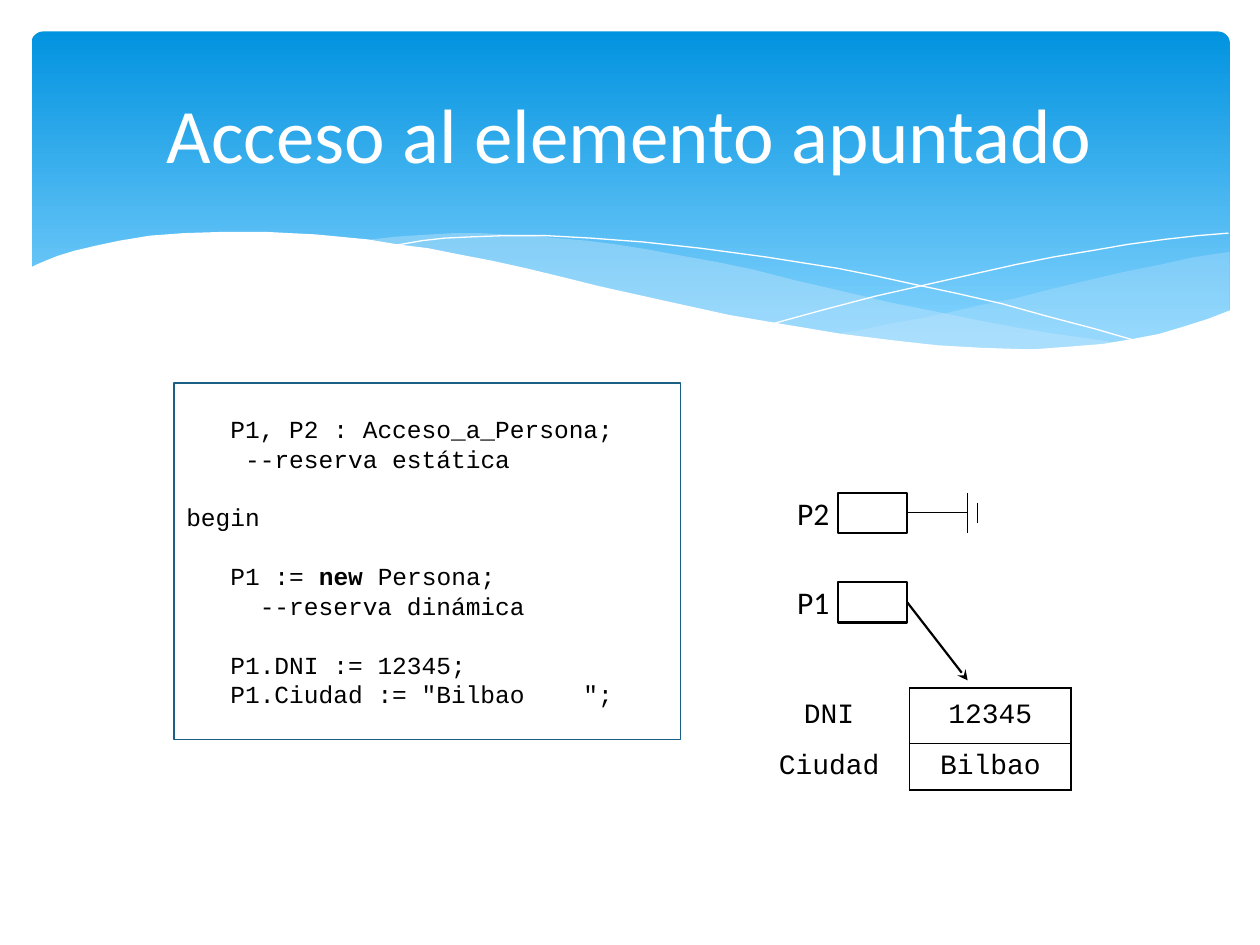
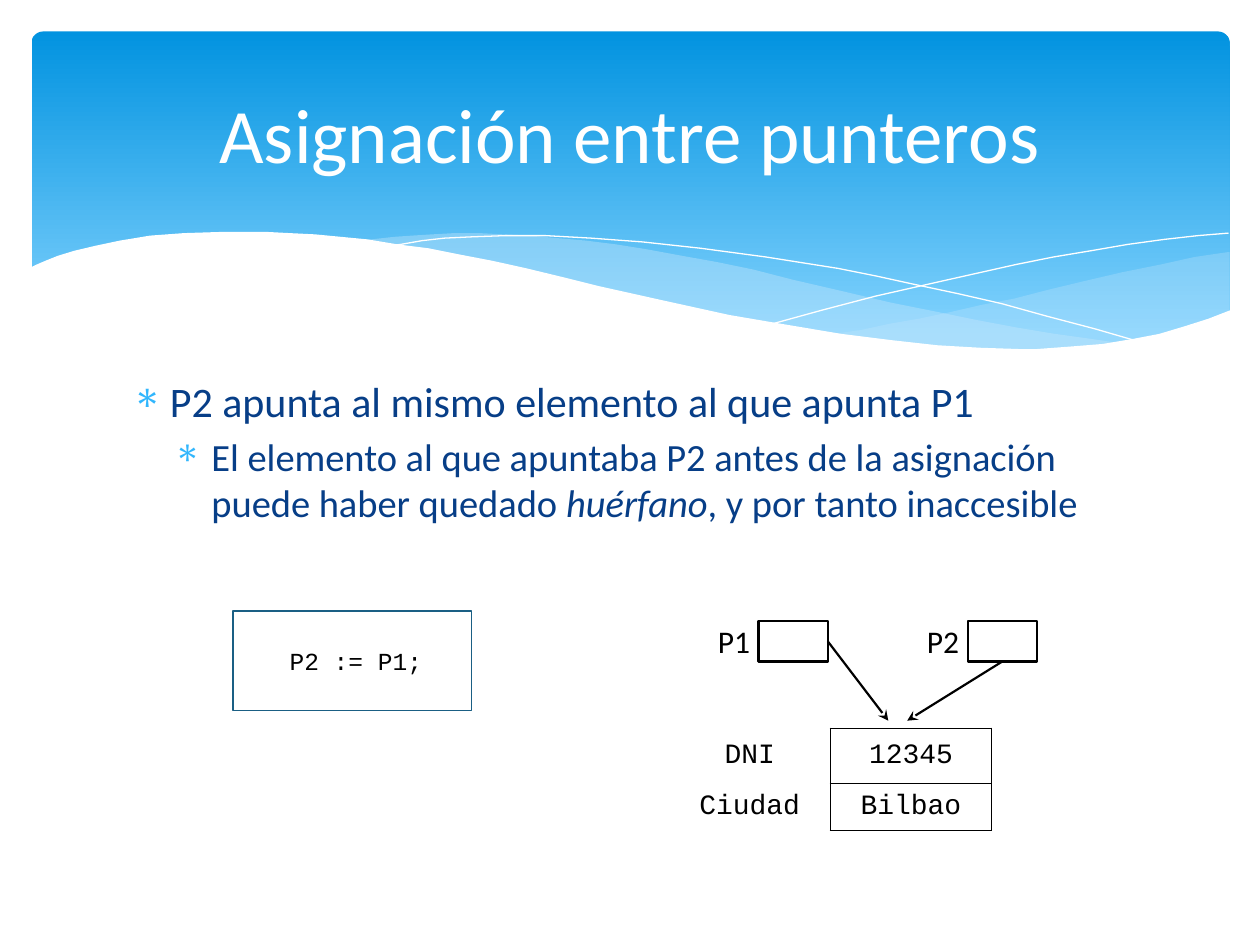
from lxml.etree import SubElement
from pptx import Presentation
from pptx.dml.color import RGBColor
from pptx.enum.shapes import MSO_CONNECTOR as Connector, MSO_SHAPE as Shape
from pptx.enum.text import MSO_ANCHOR as Anchor, PP_ALIGN as Align
from pptx.oxml.ns import qn
from pptx.util import Pt

PX = 9144  # EMU per px, 100 px to the inch

BLACK = RGBColor(0x00, 0x00, 0x00)
WHITE = RGBColor(0xFF, 0xFF, 0xFF)
BAND_TOP = RGBColor(0x02, 0x93, 0xE0)
BAND_BOTTOM = RGBColor(0x83, 0xD3, 0xFE)
WAVE = RGBColor(0xC6, 0xE7, 0xFC)
CODE_BORDER = RGBColor(0x1A, 0x5F, 0x84)
BODY_BLUE = RGBColor(0x07, 0x3E, 0x87)
BULLET_BLUE = RGBColor(0x31, 0xB6, 0xFD)

SANS, MONO = "Calibri", "Courier New"
CODE_SIZE, CODE_LEADING = 14, 16.8
CODE_CHAR = 11.67  # width of one code character in px
BOX_WIDTH, BOX_HEIGHT = 55, 32
LABEL_OFFSET = 47
TOP, LEFT, BOTTOM, RIGHT = range(4)  # connection sites of a rectangle

RIGHT_WAVE = [
    (975, 200), (948, 204), (921, 210), (891, 216), (861, 223), (832, 230),
    (805, 237), (779, 242), (753, 248), (729, 253), (706, 257), (683, 262),
    (661, 265), (691, 269), (719, 272), (745, 275), (769, 277), (792, 277),
    (814, 278), (835, 277), (854, 276), (872, 274), (889, 272), (905, 269),
    (921, 265), (935, 262), (949, 257), (963, 252), (976, 247), (976, 200)]
MIDDLE_WAVE = [
    (893, 273), (866, 269), (837, 265), (807, 260), (775, 254), (741, 247),
    (706, 240), (668, 231), (629, 222), (598, 214), (569, 208), (541, 203),
    (514, 198), (489, 194), (465, 191), (442, 189), (420, 187), (399, 186),
    (380, 185), (361, 185), (344, 186), (328, 187), (313, 188), (286, 191),
    (323, 196), (362, 203), (404, 211), (449, 222), (491, 232), (530, 240),
    (566, 248), (601, 255), (634, 261), (665, 266), (695, 270), (722, 274),
    (748, 276), (773, 277), (796, 278), (818, 278), (838, 278), (857, 277),
    (876, 275)]
FALLING_LINE = [
    (309, 195), (318, 194), (335, 191), (353, 189), (374, 188), (401, 187),
    (433, 187), (469, 189), (510, 192), (556, 197), (608, 204), (665, 213),
    (695, 219), (727, 226), (760, 233), (795, 241), (831, 251), (869, 261),
    (907, 272)]
RISING_LINE = [
    (613, 257), (653, 246), (695, 235), (748, 223), (806, 210), (836, 204),
    (866, 199), (895, 194), (924, 190), (951, 187), (975, 185)]
WHITE_WAVE = [
    (977, 246), (959, 253), (940, 259), (920, 265), (899, 269), (875, 273),
    (850, 275), (823, 277), (809, 277), (778, 276), (744, 274), (708, 270),
    (668, 265), (626, 258), (579, 250), (529, 239), (475, 227), (447, 220),
    (418, 213), (391, 207), (365, 202), (340, 197), (316, 194), (292, 190),
    (271, 188), (250, 186), (230, 185), (211, 184), (177, 184), (146, 185),
    (119, 187), (95, 191), (76, 195), (59, 199), (46, 203), (36, 207),
    (29, 210), (23, 213), (23, 329), (977, 329)]


def emu(*lengths):
    return [round(length * PX) for length in lengths]


def write(frame, text, font=SANS, size=18, color=BLACK, align=Align.LEFT,
          before=0, leading=None, margin=0, hang=0, bullet=None):
    """Add one paragraph; text is a string or a list of (string, styles) spans."""
    para = frame.paragraphs[0]
    if para.runs:
        para = frame.add_paragraph()
    para.alignment = align
    para.space_before = Pt(before)
    if leading:
        para.line_spacing = Pt(leading)
    props = para._p.get_or_add_pPr()
    props.set("marL", str(round(margin * PX)))
    props.set("indent", str(round(-hang * PX)))
    if bullet:
        tint = SubElement(props, qn("a:buClr"))
        SubElement(tint, qn("a:srgbClr"), val=str(BULLET_BLUE))
        SubElement(props, qn("a:buChar"), char=bullet)
    for words, styles in [(text, {})] if isinstance(text, str) else text:
        span = para.add_run()
        span.text = words
        span.font.name = font
        span.font.size = Pt(size)
        span.font.color.rgb = color
        for style, value in styles.items():
            setattr(span.font, style, value)


def add_text_box(page, left, top, width, height, anchor=Anchor.MIDDLE, inset=0):
    frame = page.shapes.add_textbox(*emu(left, top, width, height)).text_frame
    frame.word_wrap = True
    frame.vertical_anchor = anchor
    frame.margin_left = frame.margin_right = inset * PX
    frame.margin_top = frame.margin_bottom = inset * PX // 2
    return frame


def add_box(page, left, top, width, height, color, weight):
    """Draw an unfilled rectangle."""
    box = page.shapes.add_shape(Shape.RECTANGLE, *emu(left, top, width, height))
    box.shadow.inherit = False
    box.fill.background()
    box.line.color.rgb = color
    box.line.width = Pt(weight)
    return box


def add_outline(page, points, closed=True):
    builder = page.shapes.build_freeform(*points[0], scale=PX)
    builder.add_line_segments(points[1:], close=closed)
    outline = builder.convert_to_shape()
    outline.shadow.inherit = False
    return outline


def add_wave(page, points, color, opacity=100):
    wave = add_outline(page, points)
    wave.fill.solid()
    wave.fill.fore_color.rgb = color
    wave.line.fill.background()
    if opacity < 100:
        tint = wave.element.spPr.find(".//" + qn("a:srgbClr"))
        SubElement(tint, qn("a:alpha"), val=str(opacity * 1000))


def add_hairline(page, points):
    curve = add_outline(page, points, closed=False)
    curve.fill.background()
    curve.line.color.rgb = WHITE
    curve.line.width = 0


def add_band(page):
    band = page.shapes.add_shape(Shape.ROUNDED_RECTANGLE, *emu(25, 25, 951, 270))
    band.adjustments[0] = 0.034
    band.shadow.inherit = False
    band.line.fill.background()
    band.fill.gradient()
    band.fill.gradient_angle = 270
    stops = zip(band.fill.gradient_stops, [(0, BAND_TOP), (0.9, BAND_BOTTOM)])
    for stop, (position, color) in stops:
        stop.position = position
        stop.color.rgb = color
    add_wave(page, RIGHT_WAVE, WAVE, opacity=29)
    add_wave(page, MIDDLE_WAVE, WAVE, opacity=40)
    add_hairline(page, FALLING_LINE)
    add_hairline(page, RISING_LINE)
    add_wave(page, WHITE_WAVE, WHITE)


def add_page(deck, title):
    page = deck.slides.add_slide(deck.slide_layouts[6])
    add_band(page)
    frame = add_text_box(page, 50, 37, 900, 137, inset=10)
    write(frame, title, size=44, color=WHITE, align=Align.CENTER)
    return page


def add_line(page, start, end, weight=0.75, origin=None, arrow=False):
    """Draw a line; origin is an optional (box, site) to join its start to."""
    line = page.shapes.add_connector(Connector.STRAIGHT, *emu(*start, *end))
    line.line.color.rgb = BLACK
    line.line.width = Pt(weight)
    if origin:
        line.begin_connect(*origin)
    if arrow:
        SubElement(line.line._get_or_add_ln(), qn("a:tailEnd"), type="stealth")
    SubElement(line.element.spPr, qn("a:effectLst"))


def add_pointer(page, name, left, top):
    """Draw a pointer variable with its name to the left."""
    box = add_box(page, left, top, BOX_WIDTH, BOX_HEIGHT, BLACK, 1.25)
    label = add_text_box(page, left - LABEL_OFFSET, top, BOX_WIDTH, BOX_HEIGHT)
    write(label, name, align=Align.CENTER)
    return box


def add_null_mark(page, box, left, top):
    """Join the pointer box to the two bars that stand for null."""
    middle = top + BOX_HEIGHT // 2
    bar = left + BOX_WIDTH + 48
    add_line(page, (left + BOX_WIDTH, middle), (bar, middle), origin=(box, RIGHT))
    for x, reach in [(bar, 16), (bar + 8, 8)]:
        add_line(page, (x, middle - reach), (x, middle + reach))


def add_code(page, left, top, width, height, lines):
    """Each line is (text, indent in characters, whether a gap comes before)."""
    frame = add_box(page, left, top, width, height, CODE_BORDER, 0.75).text_frame
    frame.word_wrap = True
    frame.vertical_anchor = Anchor.MIDDLE
    for text, indent, gap in lines:
        write(frame, text, font=MONO, size=CODE_SIZE, leading=CODE_LEADING,
              margin=indent * CODE_CHAR, before=CODE_LEADING if gap else 0)


def set_borders(cell, sides):
    props = cell._tc.get_or_add_tcPr()
    for place, side in enumerate("LRTB"):
        shown = side in sides
        edge = props.makeelement(qn("a:ln" + side), w=str(Pt(1) if shown else 0))
        props.insert(place, edge)
        fill = SubElement(edge, qn("a:solidFill" if shown else "a:noFill"))
        if shown:
            SubElement(fill, qn("a:srgbClr"), val=str(BLACK))


def add_record(page, left, top):
    """Draw the person record that the pointers refer to."""
    rows = [("DNI", "12345", ""), ("Ciudad", "Bilbao", "")]
    borders = ["R", "LRTB", "L"]
    widths, heights = [128, 128, 59], [44, 37]
    table = page.shapes.add_table(
        len(rows), len(widths),
        *emu(left, top, sum(widths), sum(heights))).table
    table.first_row = table.horz_banding = False
    for column, width in zip(table.columns, widths):
        column.width = width * PX
    for row, height, texts in zip(table.rows, heights, rows):
        row.height = height * PX
        for cell, text, sides in zip(row.cells, texts, borders):
            cell.fill.background()
            cell.vertical_anchor = Anchor.MIDDLE
            cell.margin_top = cell.margin_bottom = 0
            set_borders(cell, sides)
            if text:
                write(cell.text_frame, text, font=MONO, size=16, align=Align.CENTER)


def build_access_page(deck):
    page = add_page(deck, "Acceso al elemento apuntado")
    new_person = [("P1 := ", {}), ("new", {"bold": True}), (" Persona;", {})]
    add_code(page, 138, 304, 402, 283, [
        ("P1, P2 : Acceso_a_Persona;", 3, False),
        ("--reserva estática", 4, False),
        ("begin", 0, True),
        (new_person, 3, True),
        ("--reserva dinámica", 5, False),
        ("P1.DNI := 12345;", 3, True),
        ('P1.Ciudad := "Bilbao    ";', 3, False)])
    first = add_pointer(page, "P1", 665, 462)
    add_line(page, (720, 478), (768, 540), 1.25, (first, RIGHT), arrow=True)
    add_record(page, 594, 546)
    second = add_pointer(page, "P2", 665, 391)
    add_null_mark(page, second, 665, 391)


def build_assignment_page(deck):
    page = add_page(deck, "Asignación entre punteros")
    body = add_text_box(page, 95, 293, 810, 377, Anchor.TOP, inset=10)
    write(body, "P2 apunta al mismo elemento al que apunta P1", size=24,
          color=BODY_BLUE, before=5, margin=30, hang=30, bullet="∗")
    orphan = [
        ("El elemento al que apuntaba P2 antes de la asignación puede haber quedado ", {}),
        ("huérfano", {"italic": True}),
        (", y por tanto inaccesible", {})]
    write(body, orphan, size=22, color=BODY_BLUE, before=4, margin=63, hang=30,
          bullet="∗")
    first = add_pointer(page, "P1", 602, 493)
    add_line(page, (657, 509), (705, 572), 1.25, (first, RIGHT), arrow=True)
    add_record(page, 531, 578)
    second = add_pointer(page, "P2", 768, 493)
    add_code(page, 185, 485, 189, 79, [("P2 := P1;", 3, False)])
    add_line(page, (795, 525), (720, 572), 1.25, (second, BOTTOM), arrow=True)


def main():
    deck = Presentation()
    deck.slide_width, deck.slide_height = emu(1000, 750)
    build_access_page(deck)
    build_assignment_page(deck)
    deck.save("out.pptx")


if __name__ == "__main__":
    main()
